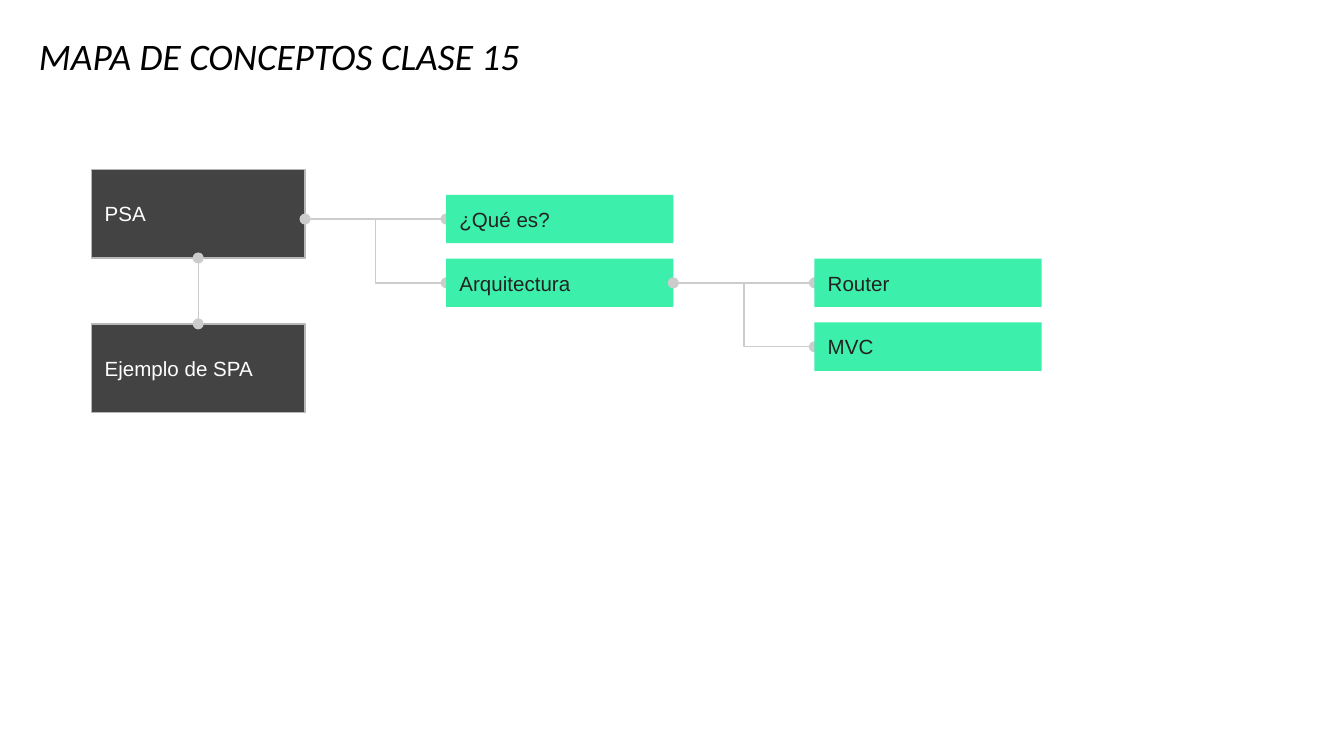
"""Build the concept map slide for class 15."""
from lxml import etree
from pptx import Presentation, util as u
from pptx.dml.color import RGBColor
from pptx.enum import shapes, text
from pptx.oxml import ns

BLACK = RGBColor(0x00, 0x00, 0x00)
WHITE = RGBColor(0xFF, 0xFF, 0xFF)
DARK = RGBColor(0x43, 0x43, 0x43)
BORDER = RGBColor(0xB7, 0xB7, 0xB7)
GREEN = RGBColor(0x3C, 0xEF, 0xAB)
INK = RGBColor(0x22, 0x22, 0x22)
LINK = RGBColor(0xCC, 0xCC, 0xCC)

HEADING = "MAPA DE CONCEPTOS CLASE 15"
TOPICS = ["PSA", "Ejemplo de SPA"]
CONCEPTS = [
    ("¿Qué es?", "PSA", 0, 0),
    ("Arquitectura", "PSA", 0, 1),
    ("Router", "Arquitectura", 1, 1),
    ("MVC", "Arquitectura", 1, 2),
]

TOPIC_LEFT, TOPIC_TOP, TOPIC_PITCH = 0.68, 1.26, 1.15
TOPIC_WIDTH, TOPIC_HEIGHT = 1.59, 0.66
CONCEPT_LEFT, CONCEPT_TOP, ROW_PITCH = 3.32, 1.45, 0.95 / 2
CONCEPT_WIDTH, CONCEPT_HEIGHT, COLUMN_GAP = 1.69, 0.36, 1.05


def format_text(frame, size, font, color, anchor):
    frame.word_wrap = True
    frame.auto_size = text.MSO_AUTO_SIZE.NONE
    frame.vertical_anchor = anchor
    frame.margin_left = frame.margin_right = u.Inches(0.1)
    frame.margin_top = frame.margin_bottom = u.Inches(0.1)
    paragraph = frame.paragraphs[0]
    paragraph.alignment = text.PP_ALIGN.LEFT
    run = paragraph.runs[0]
    run.font.size = u.Pt(size)
    run.font.name = font
    run.font.color.rgb = color
    return run


def add_box(slide, label, left, top, width, height, fill, color, border=None):
    box = slide.shapes.add_shape(
        shapes.MSO_SHAPE.RECTANGLE, *map(u.Inches, (left, top, width, height)))
    box.shadow.inherit = False
    box.fill.solid()
    box.fill.fore_color.rgb = fill
    if border is None:
        box.line.fill.background()
    else:
        box.line.color.rgb = border
        box.line.width = u.Pt(0.75)
    box.text_frame.text = label
    format_text(box.text_frame, 11, "Arial", color, text.MSO_ANCHOR.MIDDLE)
    return box


def add_link(slide, kind, start, end, dots):
    link = slide.shapes.add_connector(kind, *map(u.Inches, start + end))
    link.line.color.rgb = LINK
    link.line.width = u.Pt(0.75)
    outline = link.line._get_or_add_ln()
    for dot in dots:
        etree.SubElement(outline, ns.qn(f"a:{dot}"), type="oval")
    etree.SubElement(link._element.spPr, ns.qn("a:effectLst"))
    return link


def main():
    deck = Presentation()
    deck.slide_width = u.Inches(10)
    deck.slide_height = deck.slide_width * 9 // 16
    slide = deck.slides.add_slide(deck.slide_layouts[5])

    title = slide.shapes.title
    title.left, title.top = u.Inches(0.19), u.Inches(0.22)
    title.width, title.height = u.Inches(8.26), u.Inches(0.46)
    title.text_frame.text = HEADING
    heading = format_text(title.text_frame, 20, "Calibri", BLACK, text.MSO_ANCHOR.BOTTOM)
    heading.font.italic = True

    boxes = {}
    for index, topic in enumerate(TOPICS):
        boxes[topic] = add_box(
            slide, topic, TOPIC_LEFT, TOPIC_TOP + index * TOPIC_PITCH,
            TOPIC_WIDTH, TOPIC_HEIGHT, DARK, WHITE, BORDER)

    middle = TOPIC_LEFT + TOPIC_WIDTH / 2
    sequence = add_link(
        slide, shapes.MSO_CONNECTOR.STRAIGHT,
        (middle, TOPIC_TOP + TOPIC_HEIGHT), (middle, TOPIC_TOP + TOPIC_PITCH),
        ("headEnd", "tailEnd"))
    sequence.begin_connect(boxes[TOPICS[0]], 2)
    sequence.end_connect(boxes[TOPICS[1]], 0)

    first_rows = {}
    for concept, parent, column, row in CONCEPTS:
        left = CONCEPT_LEFT + column * (CONCEPT_WIDTH + COLUMN_GAP)
        top = CONCEPT_TOP + row * ROW_PITCH
        first_row = first_rows.setdefault(parent, row)
        straight = row == first_row
        center = top + CONCEPT_HEIGHT / 2
        start = (left - COLUMN_GAP, center - (row - first_row) * ROW_PITCH)
        link = add_link(
            slide,
            shapes.MSO_CONNECTOR.STRAIGHT if straight else shapes.MSO_CONNECTOR.ELBOW,
            start, (left, center),
            ("headEnd", "tailEnd") if straight else ("tailEnd",))
        boxes[concept] = add_box(
            slide, concept, left, top, CONCEPT_WIDTH, CONCEPT_HEIGHT, GREEN, INK)
        if parent not in TOPICS:
            link.begin_connect(boxes[parent], 3)
        link.end_connect(boxes[concept], 1)

    deck.save("out.pptx")


if __name__ == "__main__":
    main()
